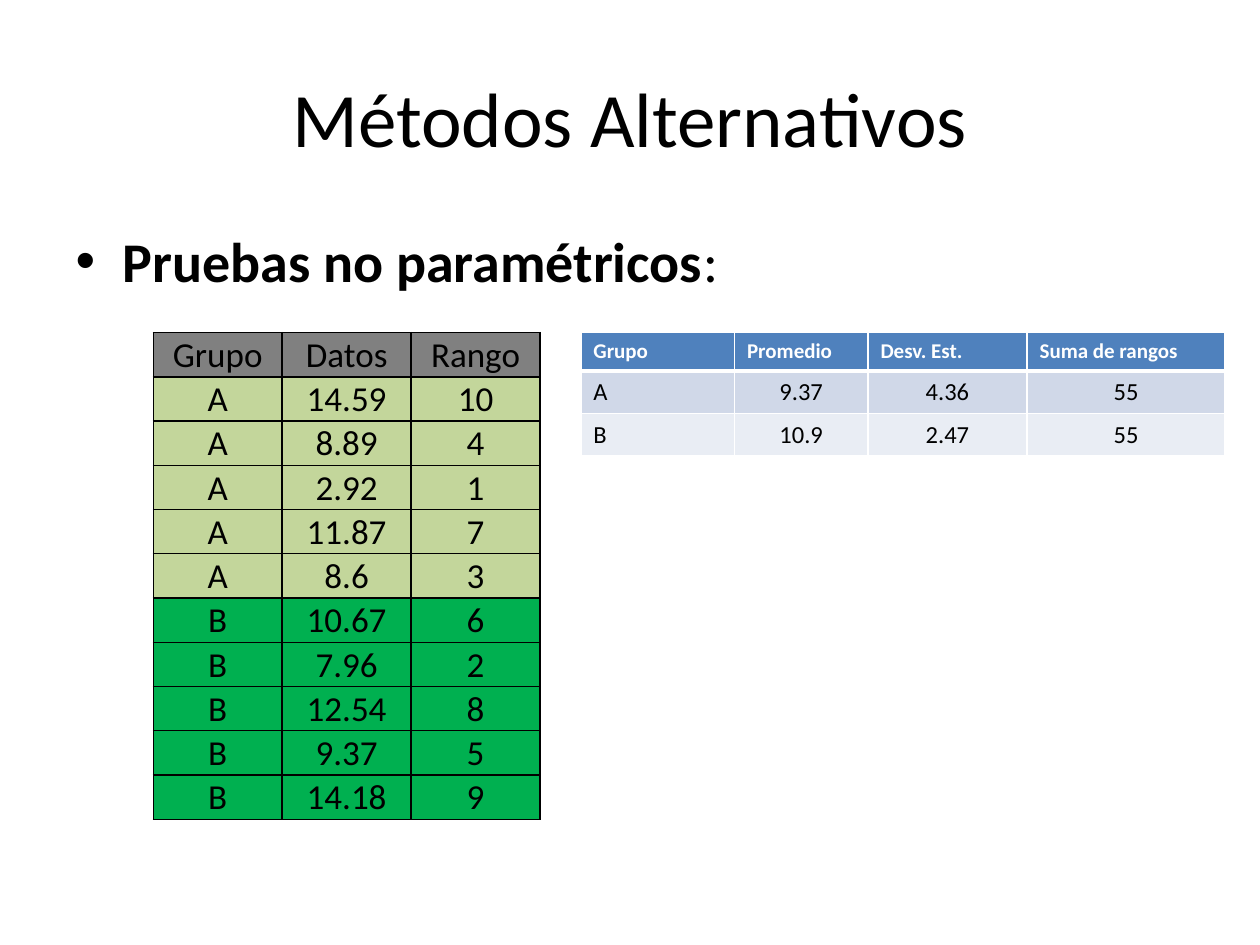
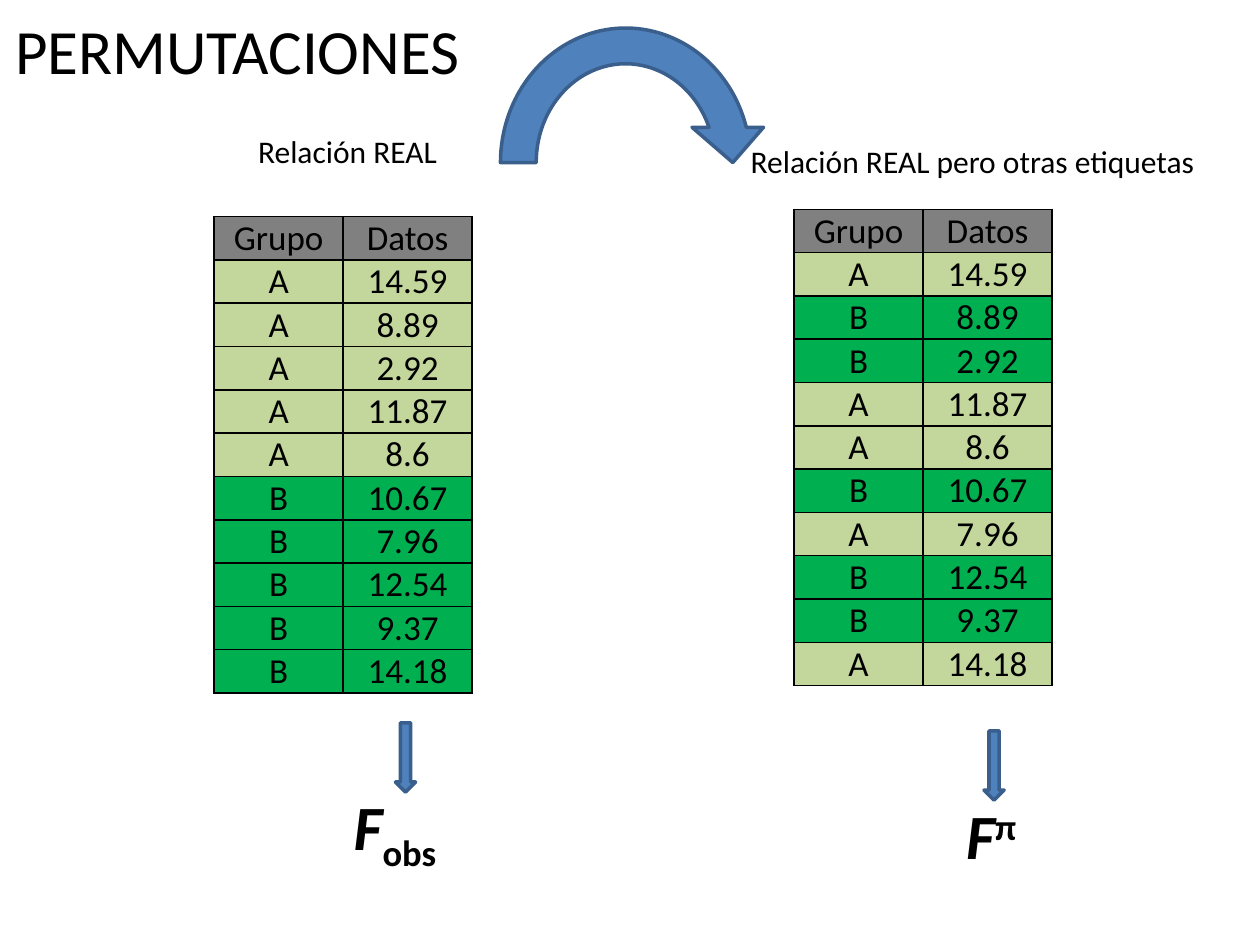
from lxml import etree
from pptx import Presentation
from pptx.dml.color import RGBColor
from pptx.enum import shapes, text
from pptx.oxml import ns
from pptx.util import Pt

COLORS = {
    "ink": "000000", "white": "FFFFFF", "header": "808080",
    "A": "C3D69B", "B": "00B050",
    "blue": "4F81BD", "outline": "3A5F8C",
    "band_dark": "D0D8E8", "band_light": "E9EDF4",
}
VALUES = ["14.59", "8.89", "2.92", "11.87", "8.6",
          "10.67", "7.96", "12.54", "9.37", "14.18"]
RANKS = ["10", "4", "1", "7", "3", "6", "2", "8", "5", "9"]
REAL_GROUPS = "AAAAABBBBB"
PERMUTED_GROUPS = "ABBAABABBA"
CENTER, LEFT = text.PP_ALIGN.CENTER, text.PP_ALIGN.LEFT


def color(name):
    return RGBColor.from_string(COLORS[name])


class Deck:
    """Holds the style and the current slide."""
    font = "Calibri"

    def __init__(self):
        self.presentation = Presentation()
        self.presentation.slide_width = Pt(720)
        self.presentation.slide_height = Pt(540)
        self.slide = None

    def new_slide(self, layout):
        layouts = self.presentation.slide_layouts
        self.slide = self.presentation.slides.add_slide(layouts.get_by_name(layout))

    def style(self, font, size, ink="ink", bold=None):
        font.name, font.size, font.bold = self.font, Pt(size), bold
        font.color.rgb = color(ink)

    def place(self, shape, left, top, width, height):
        shape.left, shape.top = Pt(left), Pt(top)
        shape.width, shape.height = Pt(width), Pt(height)

    def title(self, words, box, size):
        shape = self.slide.shapes.title
        self.place(shape, *box)
        shape.text_frame.text = words
        shape.text_frame.vertical_anchor = text.MSO_ANCHOR.MIDDLE
        paragraph = shape.text_frame.paragraphs[0]
        paragraph.alignment = CENTER
        self.style(paragraph.font, size)

    def bullet(self, strong, rest, box):
        shape = self.slide.placeholders[1]
        self.place(shape, *box)
        paragraph = shape.text_frame.paragraphs[0]
        self.style(paragraph.font, 32)
        for words, bold in ((strong, True), (rest, False)):
            run = paragraph.add_run()
            run.text, run.font.bold = words, bold

    def text_box(self, words, left, top, width, height, size=18):
        shape = self.slide.shapes.add_textbox(Pt(left), Pt(top), Pt(width), Pt(height))
        shape.text_frame.word_wrap = True
        paragraph = shape.text_frame.paragraphs[0]
        paragraph.text = words
        self.style(paragraph.font, size)
        return paragraph

    def statistic(self, mark, baseline, left, top):
        """Bold italic F with a raised or lowered mark."""
        paragraph = self.text_box("F", left, top, 75, 51, size=36)
        paragraph.font.bold = True
        paragraph.runs[0].font.italic = True
        run = paragraph.add_run()
        run.text = mark
        run._r.get_or_add_rPr().set("baseline", str(baseline * 1000))

    def arrow(self, kind, left, top, width, height):
        shape = self.slide.shapes.add_shape(
            kind, Pt(left), Pt(top), Pt(width), Pt(height))
        shape.shadow.inherit = False
        shape.fill.solid()
        shape.fill.fore_color.rgb = color("blue")
        shape.line.color.rgb = color("outline")
        shape.line.width = Pt(2)

    def borders(self, cell, name, widths):
        properties = cell._tc.get_or_add_tcPr()
        for side, width in zip("LRTB", widths):
            line = etree.SubElement(properties, ns.qn(f"a:ln{side}"), w=str(Pt(width)))
            fill = etree.SubElement(line, ns.qn("a:solidFill"))
            etree.SubElement(fill, ns.qn("a:srgbClr"), val=COLORS[name])

    def table(self, rows, left, top, widths, heights):
        table = self.slide.shapes.add_table(
            len(rows), len(widths), Pt(left), Pt(top),
            Pt(sum(widths)), Pt(sum(heights))).table
        table.first_row = table.horz_banding = False
        for column, width in zip(table.columns, widths):
            column.width = Pt(width)
        for row, height in zip(table.rows, heights):
            row.height = Pt(height)
        return table

    def cell(self, cell, words, fill, size, align, ink="ink", bold=False):
        cell.fill.solid()
        cell.fill.fore_color.rgb = color(fill)
        paragraph = cell.text_frame.paragraphs[0]
        paragraph.text, paragraph.alignment = words, align
        self.style(paragraph.font, size, ink, bold)

    def data_table(self, header, rows, left, top, row_height):
        """Black grid whose rows are coloured by group."""
        rows = [header, *rows]
        table = self.table(rows, left, top, [73.7] * len(header),
                           [row_height] * len(rows))
        for r, row in enumerate(rows):
            for c, words in enumerate(row):
                cell = table.cell(r, c)
                cell.margin_left = cell.margin_right = Pt(0.7)
                cell.margin_top, cell.margin_bottom = Pt(0.3), 0
                cell.vertical_anchor = text.MSO_ANCHOR.BOTTOM
                self.borders(cell, "ink", [1] * 4)
                self.cell(cell, words, row[0] if r else "header", 20, CENTER)

    def summary_table(self, rows, left, top, widths):
        """White grid with a blue header and banded rows."""
        table = self.table(rows, left, top, widths, [22, 24.3, 24.3])
        for r, row in enumerate(rows):
            for c, words in enumerate(row):
                cell = table.cell(r, c)
                self.borders(cell, "white", [1, 1, 3 if r == 1 else 1, 1 if r else 3])
                if r == 0:
                    self.cell(cell, words, "blue", 12, LEFT, "white", True)
                else:
                    band = "band_dark" if r % 2 else "band_light"
                    self.cell(cell, words, band, 14, CENTER if c else LEFT)


def ranks_slide(deck):
    deck.new_slide("Title and Content")
    deck.title("Métodos Alternativos", (36, 21.6, 648, 90), 44)
    deck.bullet("Pruebas no paramétricos", ":", (36, 126, 648, 59))
    deck.data_table(["Grupo", "Datos", "Rango"],
                    list(zip(REAL_GROUPS, VALUES, RANKS)), 87.6, 190, 25.3)
    deck.summary_table([
        ["Grupo", "Promedio", "Desv. Est.", "Suma de rangos"],
        ["A", "9.37", "4.36", "55"],
        ["B", "10.9", "2.47", "55"],
    ], 331.9, 190, [87.8, 76.3, 90.9, 113.3])


def permutations_slide(deck):
    deck.new_slide("Title Only")
    deck.title("PERMUTACIONES", (-56.2, -16.6, 383.8, 90), 36)

    # Relabelling arrow and captions
    deck.arrow(shapes.MSO_SHAPE.CIRCULAR_ARROW, 275.8, 5.8, 163.4, 174.2)
    deck.text_box("Relación REAL", 140.4, 72, 123.8, 29)
    deck.text_box("Relación REAL pero otras etiquetas", 421.9, 77.8, 270, 29)

    # Real and permuted groups
    for groups, left, top in ((REAL_GROUPS, 122.4, 123.8),
                              (PERMUTED_GROUPS, 453.8, 119.6)):
        deck.data_table(["Grupo", "Datos"], list(zip(groups, VALUES)),
                        left, top, 24.75)

    # Resulting statistics
    for left, top in ((226, 413), (562.3, 417.6)):
        deck.arrow(shapes.MSO_SHAPE.DOWN_ARROW, left, top, 11.5, 39.6)
    deck.statistic("obs", -25, 195, 446.4)
    deck.statistic("π", 30, 545, 451.4)


def main():
    deck = Deck()
    ranks_slide(deck)
    permutations_slide(deck)
    deck.presentation.save("out.pptx")


if __name__ == "__main__":
    main()
